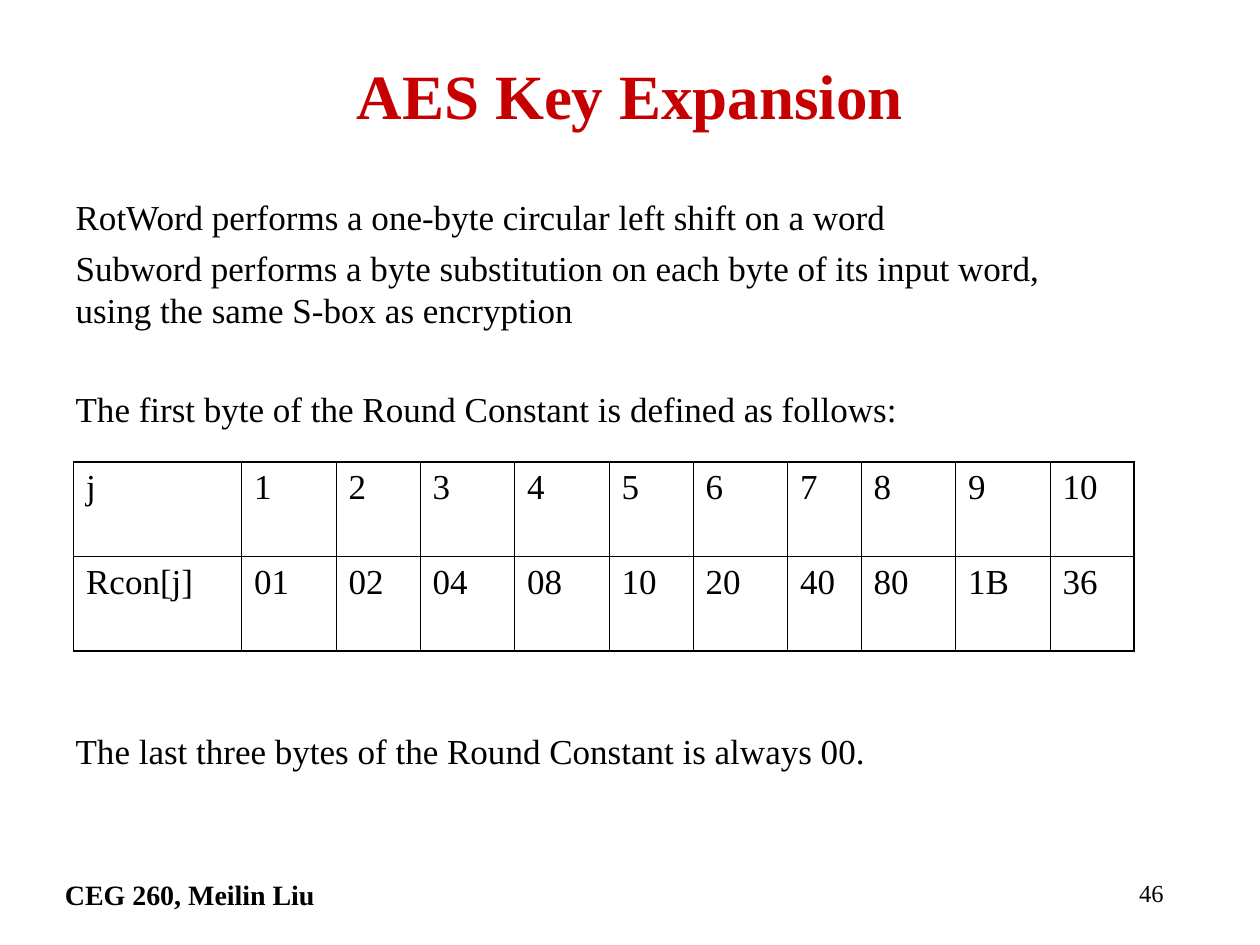
import dataclasses

import lxml.etree
import pptx
import pptx.dml.color
import pptx.enum.text
import pptx.oxml.ns
import pptx.util

SCALE = 7620
ALIGN = pptx.enum.text.PP_ALIGN
ANCHOR = pptx.enum.text.MSO_ANCHOR


@dataclasses.dataclass(frozen=True)
class Theme:
    """Colours, type sizes and rule weights of the deck."""

    font: str = "Times New Roman"
    ink: str = "000000"
    title_ink: str = "C60000"
    title_size: int = 36
    body_size: int = 20
    footer_size: int = 16
    number_size: int = 14
    outer_rule: float = 1.08
    inner_rule: float = 0.45


THEME = Theme()
STATEMENTS = [
    ("RotWord performs a one-byte circular left shift on a word", 0),
    ("Subword performs a byte substitution on each byte of its input word, "
     "using the same S-box as encryption", 5),
    ("The first byte of the Round Constant is defined as follows:", 33),
    ("The last three bytes of the Round Constant is always 00.", 171),
]
ROUND_CONSTANTS = [
    ["j", "1", "2", "3", "4", "5", "6", "7", "8", "9", "10"],
    ["Rcon[j]", "01", "02", "04", "08", "10", "20", "40", "80", "1B", "36"],
]
COLUMN_WIDTHS = [160, 90, 80, 90, 90, 80, 90, 70, 90, 90, 80]


def px(length):
    """Turn px into EMU."""
    return pptx.util.Emu(length * SCALE)


def place(shape, box):
    """Move a shape to a left, top, width, height box."""
    shape.left, shape.top, shape.width, shape.height = map(px, box)


def write(para, text, size=THEME.body_size, color=THEME.ink, bold=False,
          align=ALIGN.LEFT, before=0):
    """Write one formatted span into a paragraph."""
    para.alignment = align
    para.space_before = pptx.util.Pt(before)
    span = para.add_run()
    span.text = text
    span.font.name = THEME.font
    span.font.size = pptx.util.Pt(size)
    span.font.bold = bold
    span.font.color.rgb = pptx.dml.color.RGBColor.from_string(color)


def add_title(page, box):
    """Fill the title placeholder."""
    title = page.shapes.title
    place(title, box)
    frame = title.text_frame
    frame.auto_size = pptx.enum.text.MSO_AUTO_SIZE.NONE
    frame.vertical_anchor = ANCHOR.MIDDLE
    write(frame.paragraphs[0], "AES Key Expansion", size=THEME.title_size,
          color=THEME.title_ink, bold=True, align=ALIGN.CENTER)


def add_statements(page, box):
    """Fill the body placeholder with paragraphs without bullets."""
    body = page.placeholders[1]
    place(body, box)
    frame = body.text_frame
    frame.auto_size = pptx.enum.text.MSO_AUTO_SIZE.NONE
    frame.vertical_anchor = ANCHOR.TOP
    for index, (text, before) in enumerate(STATEMENTS):
        para = frame.add_paragraph() if index else frame.paragraphs[0]
        properties = para._p.get_or_add_pPr()
        properties.set("marL", "0")
        properties.set("indent", "0")
        lxml.etree.SubElement(properties, pptx.oxml.ns.qn("a:buNone"))
        write(para, text, before=before)


def set_borders(cell, widths):
    """Draw the left, right, top and bottom rules of a cell."""
    properties = cell._tc.get_or_add_tcPr()
    for index, (side, width) in enumerate(zip("LRTB", widths)):
        line = lxml.etree.Element(pptx.oxml.ns.qn(f"a:ln{side}"), w=str(pptx.util.Pt(width)))
        fill = lxml.etree.SubElement(line, pptx.oxml.ns.qn("a:solidFill"))
        lxml.etree.SubElement(fill, pptx.oxml.ns.qn("a:srgbClr"), val=THEME.ink)
        properties.insert(index, line)


def add_constants(page, box):
    """Add the table of round constants."""
    row_count, column_count = len(ROUND_CONSTANTS), len(COLUMN_WIDTHS)
    table = page.shapes.add_table(row_count, column_count, *map(px, box)).table
    table.first_row = table.horz_banding = False
    for column, width in zip(table.columns, COLUMN_WIDTHS):
        column.width = px(width)
    for row, values in enumerate(ROUND_CONSTANTS):
        for column, value in enumerate(values):
            cell = table.cell(row, column)
            cell.fill.background()
            edges = (column == 0, column == column_count - 1,
                     row == 0, row == row_count - 1)
            set_borders(cell, [THEME.outer_rule if edge else THEME.inner_rule
                               for edge in edges])
            write(cell.text_frame.paragraphs[0], value)


def add_label(page, box, text, **style):
    """Add a one-line text box."""
    frame = page.shapes.add_textbox(*map(px, box)).text_frame
    frame.word_wrap = True
    write(frame.paragraphs[0], text, **style)


def add_footer(page, box):
    """Add the course label and the page number at the ends of the box."""
    left, top, width, height = box
    add_label(page, (left, top, 760, height), "CEG 260, Meilin Liu",
              size=THEME.footer_size, bold=True)
    add_label(page, (left + width - 250, top, 250, height), "46",
              size=THEME.number_size, align=ALIGN.RIGHT)


def main():
    """Build the deck."""
    deck = pptx.Presentation()
    deck.slide_width, deck.slide_height = px(1200), px(900)
    page = deck.slides.add_slide(deck.slide_layouts[1])
    add_title(page, (90, 40, 1020, 100))
    add_statements(page, (60, 180, 1010, 620))
    add_constants(page, (70, 440, 1010, 180))
    add_footer(page, (50, 830, 1070, 50))
    deck.save("out.pptx")


if __name__ == "__main__":
    main()
